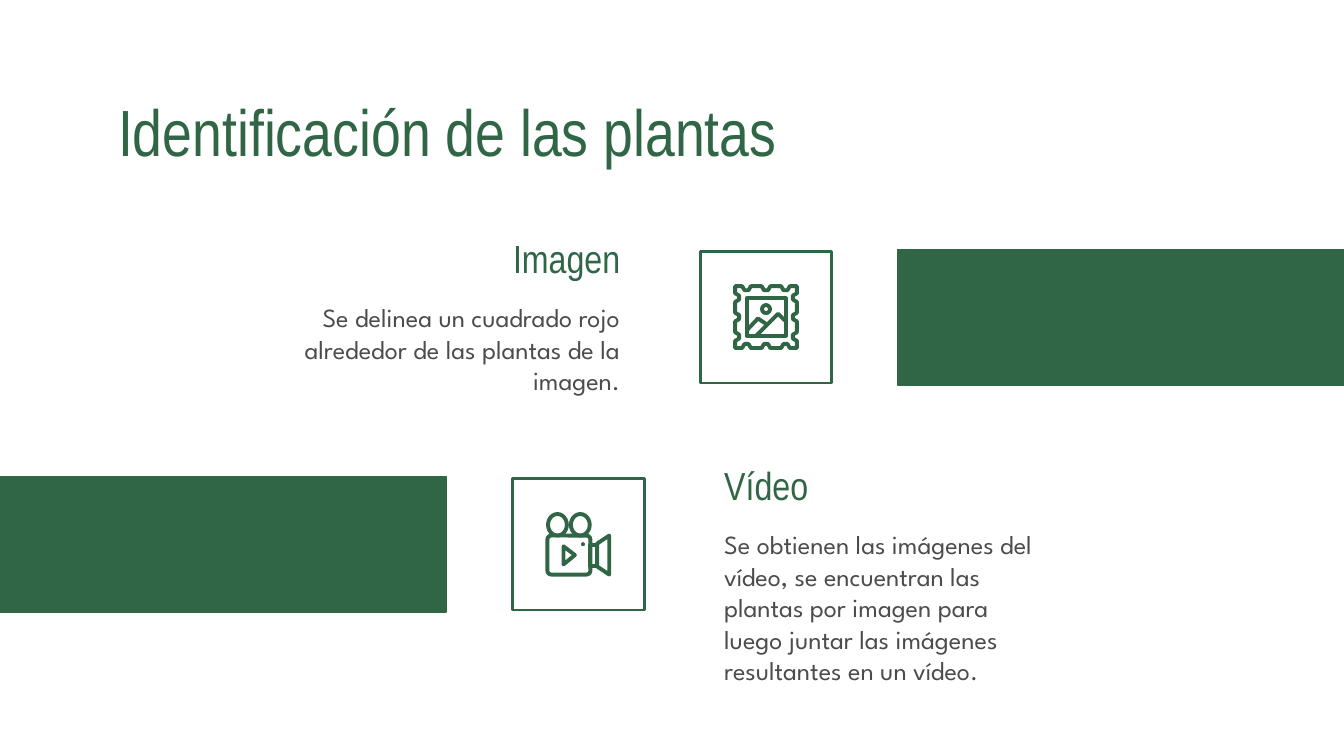
import pptx
import pptx.util
from pptx.dml.color import RGBColor
from pptx.enum.shapes import MSO_SHAPE
from pptx.enum.text import MSO_ANCHOR, PP_ALIGN

GREEN = RGBColor(0x30, 0x66, 0x45)
GREY = RGBColor(0x4C, 0x4C, 0x4C)
HEAD = "Arial Narrow"
BODY = "League Spartan"

# The 16:9 slide is a grid of square cells, 100 columns wide.
COLS = 100
ROWS = COLS * 9 / 16
CELL = pptx.util.Inches(10) / COLS
STROKE = 2.1


def grid(*cells):
    return [round(cell * CELL) for cell in cells]


def style(shape, fill=None, width=STROKE):
    shape.shadow.inherit = False
    if fill is None:
        shape.fill.background()
    else:
        shape.fill.solid()
        shape.fill.fore_color.rgb = fill
    shape.line.color.rgb = GREEN
    shape.line.width = pptx.util.Pt(width)


def add_box(shapes, kind, left, top, wide, high, fill=None, width=STROKE):
    shape = shapes.add_shape(kind, *grid(left, top, wide, high))
    style(shape, fill, width)
    return shape


def add_disc(shapes, x, y, wide, high, fill=None, width=STROKE):
    """Draw an ellipse about its centre."""
    add_box(shapes, MSO_SHAPE.OVAL, x - wide / 2, y - high / 2,
            wide, high, fill, width)


def add_path(shapes, points, close=False):
    spots = [grid(*point) for point in points]
    pen = shapes.build_freeform(*spots[0])
    pen.add_line_segments(spots[1:], close=close)
    style(pen.convert_to_shape())


def add_text(slide, text, left, top, wide, high, size, font, color,
             align=PP_ALIGN.LEFT):
    box = slide.shapes.add_textbox(*grid(left, top, wide, high))
    frame = box.text_frame
    frame.word_wrap = True
    frame.vertical_anchor = MSO_ANCHOR.TOP
    frame.margin_left, frame.margin_top = grid(1, 1)
    frame.margin_right, frame.margin_bottom = grid(1, 1)
    para = frame.paragraphs[0]
    para.text = text
    para.alignment = align
    para.font.size = pptx.util.Pt(size)
    para.font.name = font
    para.font.color.rgb = color


def stamp_edge(x, y, half=2.3, pitch=1.45):
    """Outline a square with three notches along each side."""
    side = [(-half, -half)]
    for mid in (-pitch, 0, pitch):
        side += [(mid - 0.32, -half), (mid - 0.15, -half + 0.3),
                 (mid + 0.15, -half + 0.3), (mid + 0.32, -half)]
    points = []
    for turn in range(4):
        points += [(x + a, y + b) for a, b in side]
        side = [(-b, a) for a, b in side]
    return points


def draw_stamp(slide, x, y):
    shapes = slide.shapes.add_group_shape().shapes
    add_path(shapes, stamp_edge(x, y), close=True)
    add_box(shapes, MSO_SHAPE.RECTANGLE, x - 1.45, y - 1.4, 2.9, 2.8)
    add_disc(shapes, x, y - 0.6, 0.6, 0.6)
    for peak in ([(-1.4, 0.95), (-0.6, 0.1), (0, 0.5)],
                 [(-0.75, 1.4), (0.9, -0.25), (1.4, 0.25)]):
        add_path(shapes, [(x + a, y + b) for a, b in peak])


def draw_camera(slide, x, y):
    shapes = slide.shapes.add_group_shape().shapes
    for reel in (-1.55, 0.15):
        add_disc(shapes, x + reel, y - 1.45, 1.4, 1.6)
    body = add_box(shapes, MSO_SHAPE.ROUNDED_RECTANGLE,
                   x - 2.3, y - 0.65, 3.2, 2.9)
    body.adjustments[0] = 0.1
    add_box(shapes, MSO_SHAPE.RECTANGLE, x + 0.9, y + 0.05, 0.5, 1.6)
    for part in ([(1.4, -0.05), (2.3, -0.65), (2.3, 2.25), (1.4, 1.65)],
                 [(-1.1, 0.15), (-0.25, 0.8), (-1.1, 1.5)]):
        add_path(shapes, [(x + a, y + b) for a, b in part], close=True)
    add_disc(shapes, x + 0.35, y, 0.25, 0.25, GREEN, 0.25)


def main():
    deck = pptx.Presentation()
    deck.slide_width, deck.slide_height = grid(COLS, ROWS)
    slide = deck.slides.add_slide(deck.slide_layouts[6])

    for left, top in ((66.8, 18.55), (-2.5, 35.45)):
        add_box(slide.shapes, MSO_SHAPE.RECTANGLE, left, top,
                35.7, 10.1, GREEN, 0.75)
    add_text(slide, "Identificación de las plantas",
             7.8, 5.8, 52.1, 6.3, 35, HEAD, GREEN)

    items = (
        ("Imagen", "Se delinea un cuadrado rojo alrededor de las plantas "
         "de la imagen.", 47.13, 16.45, 52.1, PP_ALIGN.RIGHT, draw_stamp),
        ("Vídeo", "Se obtienen las imágenes del vídeo, se encuentran las "
         "plantas por imagen para luego juntar las imágenes resultantes "
         "en un vídeo.", 52.9, 33.35, 38.13, PP_ALIGN.LEFT, draw_camera),
    )
    for name, text, edge, top, tile, align, draw in items:
        right = align == PP_ALIGN.RIGHT
        for words, drop, wide, high, size, font, color in (
                (name, 0, 23.5, 4.8, 21, HEAD, GREEN),
                (text, 5, 25.8, 9, 14, BODY, GREY)):
            left = edge - wide if right else edge
            add_text(slide, words, left, top + drop, wide, high,
                     size, font, color, align)
        add_box(slide.shapes, MSO_SHAPE.RECTANGLE, tile, top + 2.25,
                9.8, 9.8, width=1.5)
        draw(slide, tile + 4.9, top + 7.15)

    deck.save("out.pptx")


if __name__ == "__main__":
    main()
